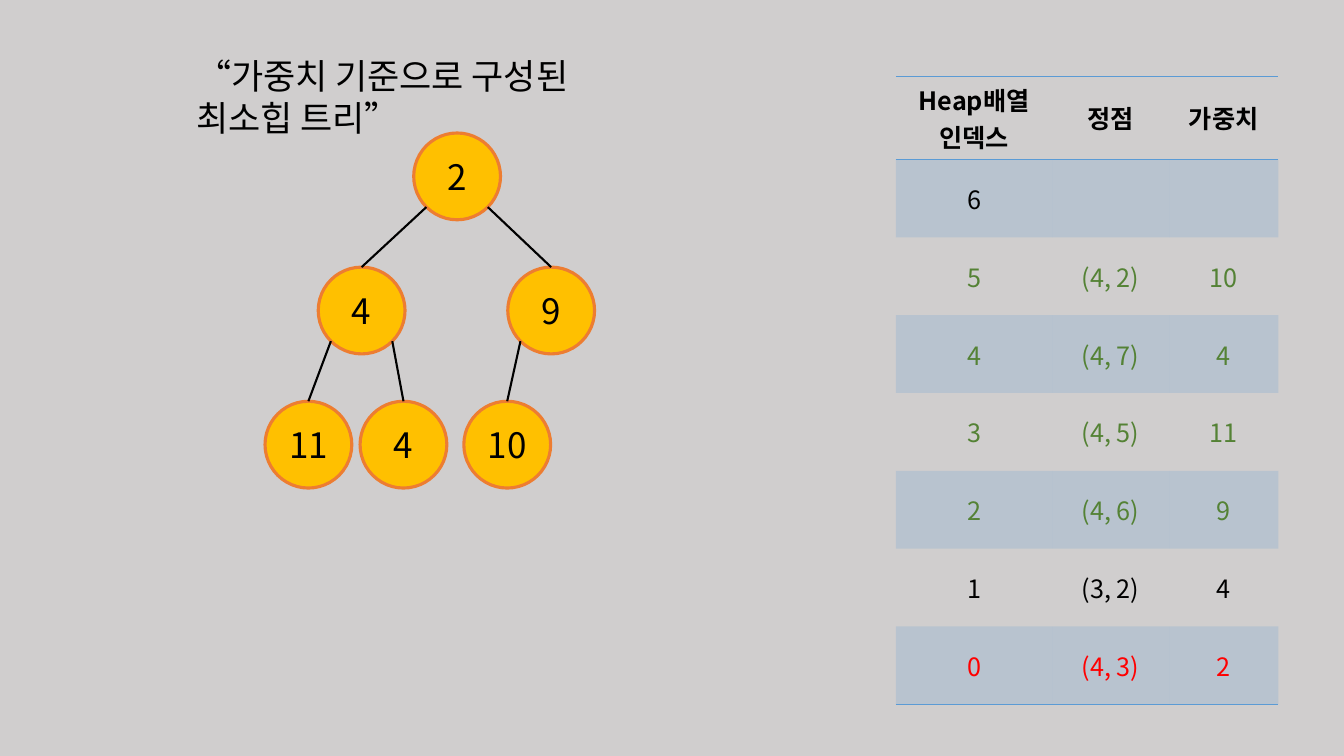
import pptx
import pptx.util
import pptx.dml.color
import pptx.enum.shapes
import pptx.enum.text
import pptx.oxml.ns
from lxml import etree

Pt = pptx.util.Pt
qn = pptx.oxml.ns.qn
SHAPE = pptx.enum.shapes.MSO_SHAPE
STRAIGHT = pptx.enum.shapes.MSO_CONNECTOR.STRAIGHT
MIDDLE = pptx.enum.text.MSO_ANCHOR.MIDDLE
ALIGN = pptx.enum.text.PP_ALIGN

COLORS = {
    "background": "D0CECE", "text": "000000", "node": "FFC000",
    "node_line": "ED7D31", "band": "5B9BD5", "leaf": "548235", "root": "FF0000",
}
NO_STYLE = "{2D5ABB26-0587-4C30-8999-92F81FD0307C}"


def rgb(name):
    return pptx.dml.color.RGBColor.from_string(COLORS[name])


class HeapSlide:
    font = "Noto Sans CJK KR"
    node_size = 62

    def __init__(self, deck):
        self.slide = deck.slides.add_slide(deck.slide_layouts[6])
        self.shapes = self.slide.shapes
        self.slide.background.fill.solid()
        self.slide.background.fill.fore_color.rgb = rgb("background")

    def set_text(self, frame, text, size, color="text", bold=False, align=ALIGN.CENTER):
        frame.text = text
        for paragraph in frame.paragraphs:
            paragraph.alignment = align
            font = paragraph.font
            font.name, font.size, font.bold = self.font, Pt(size), bold
            font.color.rgb = rgb(color)
            # East Asian typeface for the Korean text
            properties = paragraph._p.pPr.find(qn("a:defRPr"))
            latin = properties.find(qn("a:latin"))
            latin.addnext(etree.Element(qn("a:ea"), typeface=self.font))

    def title(self, text, left, top, width, height):
        frame = self.shapes.add_textbox(Pt(left), Pt(top), Pt(width), Pt(height)).text_frame
        frame.word_wrap = True
        self.set_text(frame, text, 25, align=ALIGN.LEFT)

    def node(self, text, center, top):
        size = self.node_size
        circle = self.shapes.add_shape(
            SHAPE.OVAL, Pt(center - size / 2), Pt(top), Pt(size), Pt(size))
        circle.shadow.inherit = False
        circle.fill.solid()
        circle.fill.fore_color.rgb = rgb("node")
        circle.line.color.rgb = rgb("node_line")
        circle.line.width = Pt(2.25)
        frame = circle.text_frame
        frame.word_wrap = False
        frame.vertical_anchor = MIDDLE
        self.set_text(frame, text, 25)

    def edge(self, parent, child):
        """Join a parent's lower diagonal point to the top of its child."""
        radius = self.node_size / 2
        reach = radius * 0.5 ** 0.5
        side = 1 if child[0] > parent[0] else -1
        line = self.shapes.add_connector(
            STRAIGHT, Pt(parent[0] + side * reach), Pt(parent[1] + radius + reach),
            Pt(child[0]), Pt(child[1]))
        line.line.color.rgb = rgb("text")
        line.line.width = Pt(1.5)
        etree.SubElement(line._element.spPr, qn("a:effectLst"))

    def border(self, cell, *sides):
        properties = cell._tc.get_or_add_tcPr()
        for position, side in enumerate(sides):
            line = etree.Element(qn("a:" + side), w=str(Pt(1)))
            fill = etree.SubElement(line, qn("a:solidFill"))
            etree.SubElement(fill, qn("a:srgbClr"), val=COLORS["band"])
            properties.insert(position, line)

    def band(self, cell):
        cell.fill.solid()
        cell.fill.fore_color.rgb = rgb("band")
        tint = cell._tc.tcPr.find(".//" + qn("a:srgbClr"))
        etree.SubElement(tint, qn("a:alpha"), val="20000")

    def table(self, rows, row_colors, left, top, widths, heights):
        table = self.shapes.add_table(
            len(rows), len(widths), Pt(left), Pt(top), Pt(sum(widths)), Pt(sum(heights))).table
        table._tbl.tblPr.find(qn("a:tableStyleId")).text = NO_STYLE
        table.horz_banding = False
        for column, width in zip(table.columns, widths):
            column.width = Pt(width)
        for r, values in enumerate(rows):
            table.rows[r].height = Pt(heights[r])
            for c, value in enumerate(values):
                cell = table.cell(r, c)
                cell.vertical_anchor = MIDDLE
                self.set_text(cell.text_frame, value, 18, row_colors[r], bold=r == 0)
                if r % 2:
                    self.band(cell)
                else:
                    cell.fill.background()
                if r == 0:
                    self.border(cell, "lnT", "lnB")
                elif r == len(rows) - 1:
                    self.border(cell, "lnB")


deck = pptx.Presentation()
deck.slide_width, deck.slide_height = Pt(960), Pt(540)
heap = HeapSlide(deck)

# Heap array, last index first
heap_rows = [
    ("Heap배열\n인덱스", "정점", "가중치"),
    ("6", "", ""),
    ("5", "(4, 2)", "10"),
    ("4", "(4, 7)", "4"),
    ("3", "(4, 5)", "11"),
    ("2", "(4, 6)", "9"),
    ("1", "(3, 2)", "4"),
    ("0", "(4, 3)", "2"),
]
row_colors = ["text"] * 2 + ["leaf"] * 4 + ["text", "root"]
heap.table(heap_rows, row_colors, 640, 54.6, (111.6, 83.5, 78), [52] + [55.6] * 7)

# Title
heap.title("“가중치 기준으로 구성된 최소힙 트리”", 133.2, 35.3, 342.7, 37.4)

# Min-heap tree: the parent of node i is node (i - 1) // 2
weights = ["2", "4", "9", "11", "4", "10"]
centers = [326.5, 258.3, 393.7, 220.3, 288.2, 362.3]
levels = [0, 1, 1, 2, 2, 2]
places = [(center, 95 + 95.8 * level) for center, level in zip(centers, levels)]
for i, (weight, place) in enumerate(zip(weights, places)):
    heap.node(weight, *place)
    if i:
        heap.edge(places[(i - 1) // 2], place)

deck.save("out.pptx")
